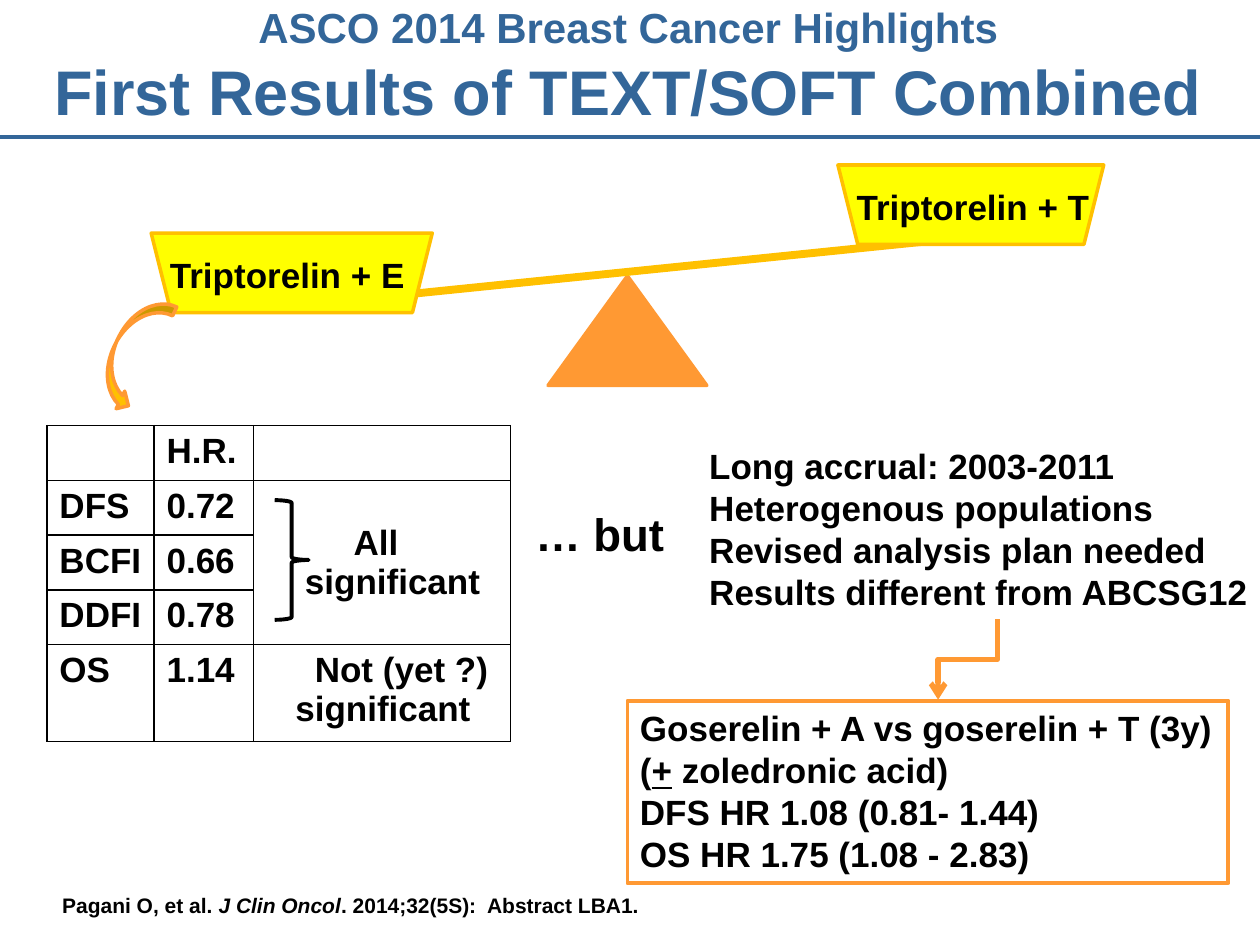
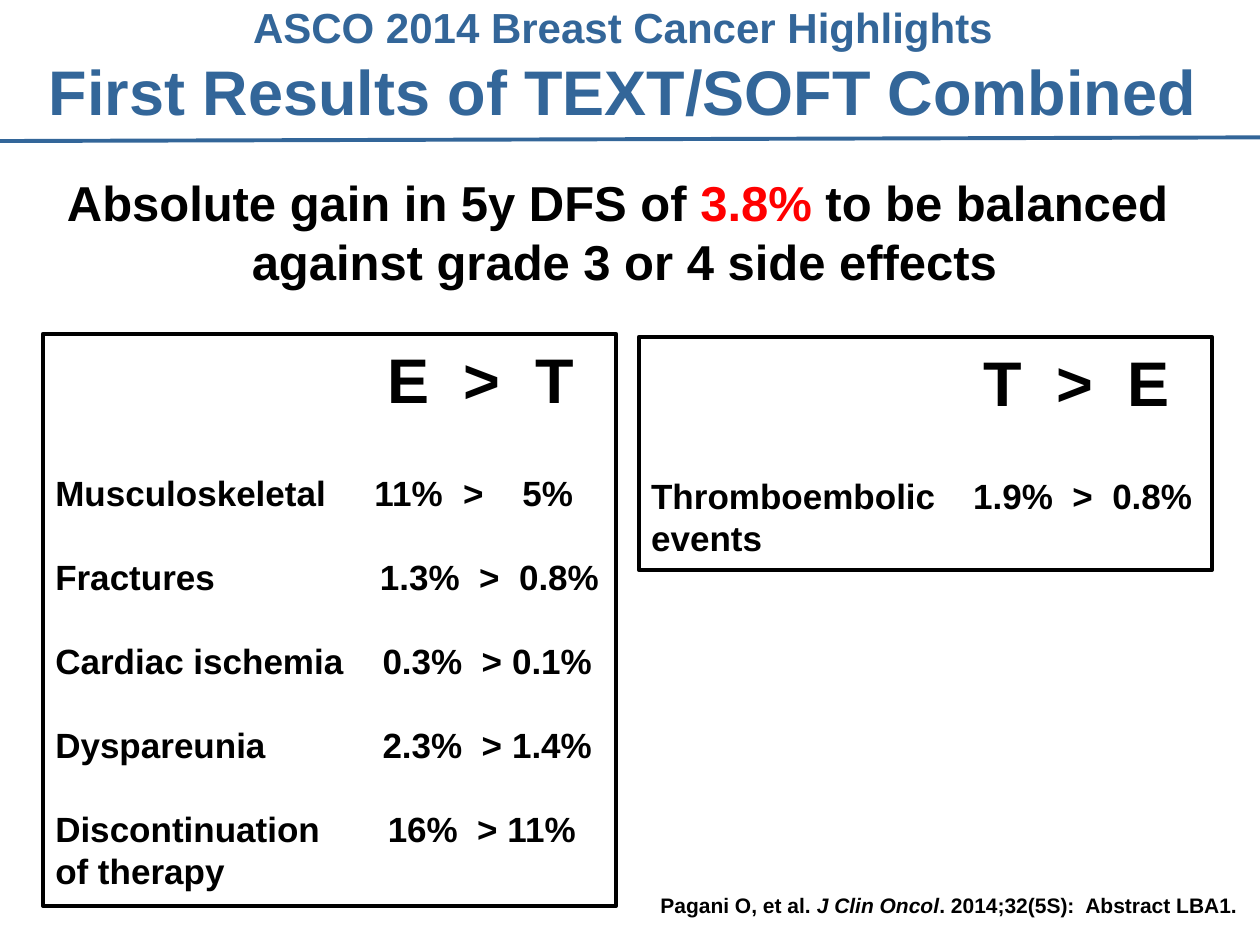
from lxml.etree import SubElement
from pptx import Presentation
from pptx.dml.color import RGBColor
from pptx.enum.shapes import MSO_CONNECTOR, MSO_SHAPE
from pptx.enum.text import MSO_ANCHOR, PP_ALIGN
from pptx.oxml.ns import qn
from pptx.util import Pt

BLUE = RGBColor(0x33, 0x66, 0x99)
ORANGE = RGBColor(0xFF, 0x99, 0x33)
GOLD = RGBColor(0xFF, 0xC0, 0x00)
YELLOW = RGBColor(0xFF, 0xFF, 0x00)
RED = RGBColor(0xFF, 0x00, 0x00)
BLACK = RGBColor(0x00, 0x00, 0x00)
WHITE = RGBColor(0xFF, 0xFF, 0xFF)
FONT = "Arial"


def write(frame, lines, size, color=BLACK, align=PP_ALIGN.LEFT):
    """Fill a frame with bold lines; a line is a string or a tuple of runs."""
    for number, line in enumerate(lines):
        paragraph = frame.paragraphs[0] if number == 0 else frame.add_paragraph()
        paragraph.alignment = align
        paragraph.line_spacing = 1.0
        for part in (line,) if isinstance(line, str) else line:
            run = paragraph.add_run()
            run.text = part
            run.font.name = FONT
            run.font.size = Pt(size)
            run.font.bold = True
            run.font.color.rgb = color


def place(slide, kind, box, line, width, fill=None):
    """Add a preset shape with a plain outline and an optional fill."""
    shape = slide.shapes.add_shape(kind, *map(Pt, box))
    shape.shadow.inherit = False
    shape.line.color.rgb = line
    shape.line.width = Pt(width)
    if fill is None:
        shape.fill.background()
    else:
        shape.fill.solid()
        shape.fill.fore_color.rgb = fill
    shape.text_frame.vertical_anchor = MSO_ANCHOR.TOP
    return shape


deck = Presentation()
deck.slide_width, deck.slide_height = Pt(720), Pt(540)
balance = deck.slides.add_slide(deck.slide_layouts[6])
side_effects = deck.slides.add_slide(deck.slide_layouts[6])

# Title, rule and citation on both slides
for slide, title_left, rule_start, cite_align, cite_end in (
    (balance, 3, 78.5, PP_ALIGN.LEFT, ""),
    (side_effects, 0, 80.6, PP_ALIGN.RIGHT, " "),
):
    title = slide.shapes.add_textbox(Pt(title_left), Pt(0), Pt(712), Pt(74)).text_frame
    title.word_wrap = True
    title.vertical_anchor = MSO_ANCHOR.MIDDLE
    title.margin_top = title.margin_bottom = 0
    write(title, ["ASCO 2014 Breast Cancer Highlights",
                  "First Results of TEXT/SOFT Combined"], 36, BLUE, PP_ALIGN.CENTER)
    title.paragraphs[0].runs[0].font.size = Pt(24)

    rule = slide.shapes.add_connector(
        MSO_CONNECTOR.STRAIGHT, Pt(0), Pt(rule_start), Pt(720), Pt(78.5))
    rule.line.color.rgb = BLUE
    rule.line.width = Pt(2.25)
    SubElement(rule._element.spPr, qn("a:effectLst"))

    citation = slide.shapes.add_textbox(Pt(28.5), Pt(506.5), Pt(689), Pt(21.6)).text_frame
    citation.word_wrap = True
    write(citation, [("Pagani O, et al. ", "J Clin Oncol",
                      ". 2014;32(5S):  Abstract LBA1." + cite_end)], 12, align=cite_align)
    citation.paragraphs[0].runs[1].font.italic = True

# Slide 1: the scale
place(balance, MSO_SHAPE.ISOSCELES_TRIANGLE, (313.2, 157.7, 90.7, 62.6), ORANGE, 2, ORANGE)
beam = balance.shapes.add_connector(
    MSO_CONNECTOR.STRAIGHT, Pt(145.4), Pt(177.1), Pt(569.5), Pt(133.9))
beam.line.color.rgb = GOLD
beam.line.width = Pt(4.5)
SubElement(beam._element.spPr, qn("a:effectLst"))

for drug, left, top, width in (
    ("Triptorelin + T", 478.8, 94.3, 151.9),
    ("Triptorelin + E", 86.4, 133.2, 160.6),
):
    pan = place(balance, MSO_SHAPE.TRAPEZOID, (left, top, width, 45.4), GOLD, 2, YELLOW)
    pan.rotation = 180
    label = balance.shapes.add_textbox(Pt(left + 3.6), Pt(top + 7.9), Pt(148.5), Pt(31.7))
    label.text_frame.word_wrap = False
    write(label.text_frame, [drug], 20)

# Hazard ratios
ROWS = [("", "H.R."), ("DFS", "0.72"), ("BCFI", "0.66"), ("DDFI", "0.78"), ("OS", "1.14")]
ratios = balance.shapes.add_table(5, 3, Pt(26.8), Pt(243.2), Pt(265), Pt(180)).table
for column, width in zip(ratios.columns, (61.2, 56.9, 146.9)):
    column.width = Pt(width)
for row, height in zip(ratios.rows, (31.3, 31.3, 31.3, 31.3, 54.8)):
    row.height = Pt(height)
ratios.cell(1, 2).merge(ratios.cell(3, 2))

for r, values in enumerate(ROWS):
    for c, value in enumerate(values):
        if value:
            write(ratios.cell(r, c).text_frame, [value], 20)

for r, verdict, indents in (
    (1, ("All", "significant"), (50, 22.2)),
    (4, ("Not (yet ?)", "significant"), (27.8, 16.7)),
):
    frame = ratios.cell(r, 2).text_frame
    write(frame, verdict, 20)
    for paragraph, indent in zip(frame.paragraphs, indents):
        paragraph._p.get_or_add_pPr().set("marL", str(Pt(indent)))
ratios.cell(1, 2).vertical_anchor = MSO_ANCHOR.MIDDLE

for cell in ratios.iter_cells():
    properties = cell._tc.get_or_add_tcPr()
    for side in ("a:lnL", "a:lnR", "a:lnT", "a:lnB"):
        border = SubElement(properties, qn(side), w=str(Pt(1)))
        SubElement(SubElement(border, qn("a:solidFill")), qn("a:srgbClr"), val=str(BLACK))
    cell.fill.solid()
    cell.fill.fore_color.rgb = WHITE

place(balance, MSO_SHAPE.RIGHT_BRACE, (157, 285.8, 19.4, 68.4), BLACK, 2.25)
swoop = place(balance, MSO_SHAPE.CURVED_DOWN_ARROW, (41.8, 190.1, 68.4, 22.3), ORANGE, 2, GOLD)
swoop.rotation = 296.1
swoop._element.spPr.xfrm.set("flipH", "1")

# Caveats
CAVEATS = ["Long accrual: 2003-2011", "Heterogenous populations",
           "Revised analysis plan needed", "Results different from ABCSG12"]
for lines, size, box in (
    (["… but"], 26, (298.8, 285.8, 96.5, 38.9)),
    (CAVEATS, 20, (398.2, 250.6, 321.8, 104.4)),
):
    remark = balance.shapes.add_textbox(*map(Pt, box)).text_frame
    remark.word_wrap = True
    remark.margin_right = 0
    write(remark, lines, size)

abcsg12 = place(balance, MSO_SHAPE.RECTANGLE, (358.6, 400.3, 343.4, 104.4), ORANGE, 2.25)
abcsg12.text_frame.word_wrap = True
abcsg12.text_frame.margin_right = 0
write(abcsg12.text_frame, [
    "Goserelin + A vs goserelin + T (3y)",
    ("(", "+", " zoledronic acid)"),
    "DFS HR 1.08 (0.81- 1.44)",
    "OS HR 1.75 (1.08 - 2.83)",
], 20)
abcsg12.text_frame.paragraphs[1].runs[1].font.underline = True

detail_arrow = balance.shapes.add_connector(
    MSO_CONNECTOR.ELBOW, Pt(529.9), Pt(359.9), Pt(576), Pt(393.7))
detail_arrow._element.spPr.xfrm.set("rot", str(90 * 60000))
detail_arrow.line.color.rgb = ORANGE
detail_arrow.line.width = Pt(3)
SubElement(detail_arrow.line._get_or_add_ln(), qn("a:tailEnd"), type="arrow")
SubElement(detail_arrow._element.spPr, qn("a:effectLst"))

# Slide 2: gain against side effects
gain = side_effects.shapes.add_textbox(Pt(27), Pt(95), Pt(659.5), Pt(74.9)).text_frame
gain.word_wrap = True
write(gain, [("Absolute gain in 5y DFS of ", "3.8%", " to be balanced "),
             "against grade 3 or 4 side effects"], 28, align=PP_ALIGN.CENTER)
gain.paragraphs[0].runs[1].font.color.rgb = RED

# Each entry: text, tab stops, space before
WORSE_WITH_E = [
    ("\tE\t>\tT", (190, 233.5, 274.5), 0),
    ("Musculoskeletal\t11%\t>\t5%", (182.4, 233, 266.9), 32),
    ("Fractures\t1.3%\t>\t0.8%", (185.5, 242.2, 265), 24),
    ("Cardiac ischemia\t0.3%\t>\t0.1%", (187, 243.7, 261), 24),
    ("Dyspareunia\t2.3%\t>\t1.4%", (187, 243.7, 261), 24),
    ("Discontinuation\t16%\t>\t11%", (190, 241.1, 258.4), 24),
    ("of therapy", (), 0),
]
WORSE_WITH_T = [
    ("\tT\t>\tE", (190, 231.5, 272.5), 0),
    ("Thromboembolic\t1.9%\t>\t0.8%", (184, 240.7, 263.5), 32),
    ("events", (), 0),
]
for entries, box in (
    (WORSE_WITH_E, (24.5, 190.8, 327.6, 326.9)),
    (WORSE_WITH_T, (365, 192.5, 327.6, 133.2)),
):
    frame = place(side_effects, MSO_SHAPE.RECTANGLE, box, BLACK, 2.25).text_frame
    write(frame, [text for text, _, _ in entries], 20)
    frame.paragraphs[0].runs[0].font.size = Pt(36)
    for paragraph, (_, stops, gap) in zip(frame.paragraphs, entries):
        if gap:
            paragraph.space_before = Pt(gap)
        if stops:
            tabs = SubElement(paragraph._p.get_or_add_pPr(), qn("a:tabLst"))
            for stop in stops:
                SubElement(tabs, qn("a:tab"), pos=str(Pt(stop)), algn="l")

deck.save("out.pptx")
